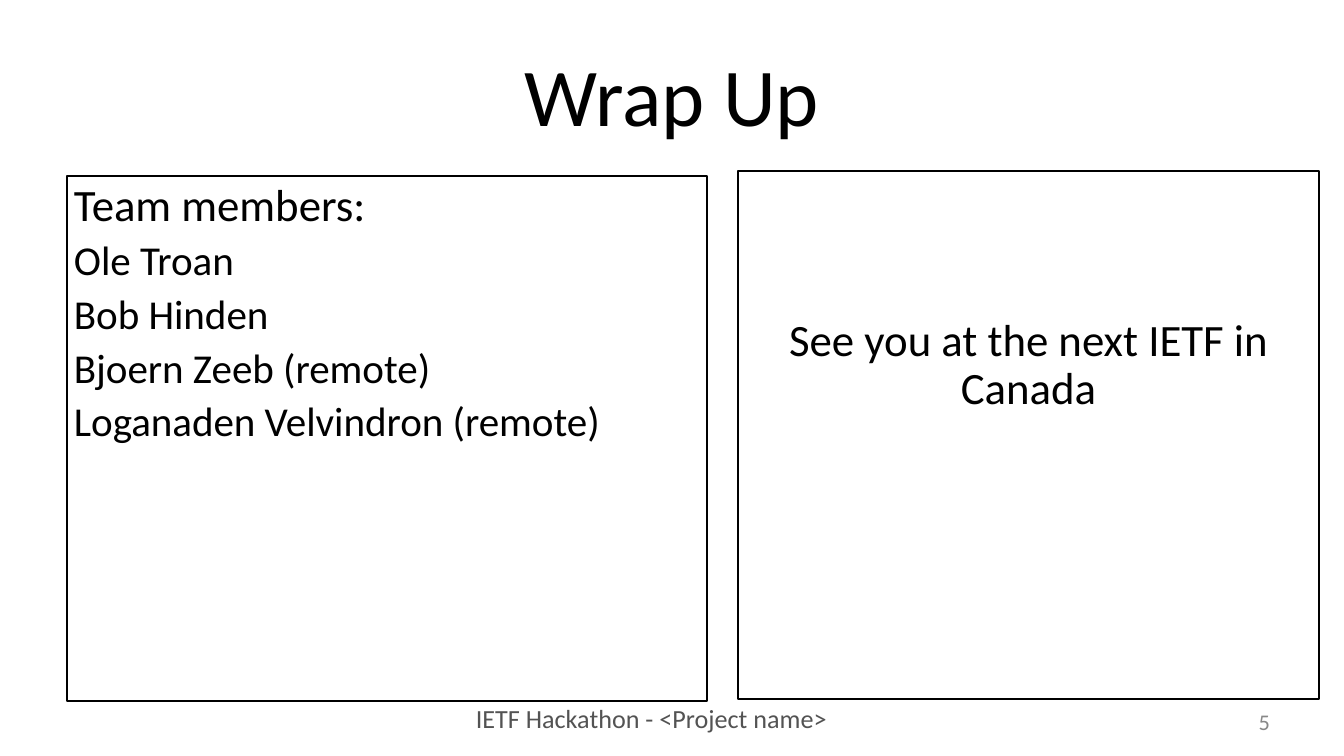
from dataclasses import dataclass

from pptx import Presentation
from pptx import util as u
from pptx.dml import color
from pptx.enum import text
from pptx.oxml import ns

PX = 4572


@dataclass(frozen=True)
class Theme:
    font: str = "Calibri"
    ink: str = "000000"
    footer_ink: str = "535353"
    number_ink: str = "888888"
    title: int = 44
    lead: int = 24
    member: int = 22
    footer: int = 14
    number: int = 12
    inset: int = 10


THEME = Theme()


@dataclass(frozen=True)
class Area:
    left: int
    top: int
    width: int
    height: int

    def emu(self) -> tuple[int, ...]:
        return tuple(side * PX for side in (self.left, self.top, self.width, self.height))


@dataclass(frozen=True)
class Line:
    words: str
    size: int
    ink: str = THEME.ink
    align: text.PP_ALIGN = text.PP_ALIGN.LEFT


def write(box, lines: list[Line], anchor=text.MSO_ANCHOR.TOP, wrap=True, top_inset=THEME.inset) -> None:
    frame = box.text_frame
    frame.auto_size = text.MSO_AUTO_SIZE.NONE
    frame.word_wrap = wrap
    frame.vertical_anchor = anchor
    frame.margin_left = frame.margin_right = frame.margin_bottom = THEME.inset * PX
    frame.margin_top = top_inset * PX
    for index, line in enumerate(lines):
        para = frame.add_paragraph() if index else frame.paragraphs[0]
        para.alignment = line.align
        span = para.add_run()
        span.text = line.words
        span.font.name = THEME.font
        span.font.size = u.Pt(line.size)
        span.font.color.rgb = color.RGBColor.from_string(line.ink)


def place(box, area: Area) -> None:
    box.left, box.top, box.width, box.height = area.emu()


def fill_panel(box, area: Area, lines: list[Line], top_inset: int = THEME.inset) -> None:
    place(box, area)
    box.line.color.rgb = color.RGBColor.from_string(THEME.ink)
    box.line.width = u.Pt(1)
    write(box, lines, top_inset=top_inset)
    for para in box.text_frame.paragraphs:
        para.line_spacing = 0.9
        para.space_before = u.Pt(5)
        props = para._p.get_or_add_pPr()
        props.set("marL", "0")
        props.set("indent", "0")
        props.append(props.makeelement(ns.qn("a:buNone"), {}))


def add_label(page, area: Area, line: Line, anchor=text.MSO_ANCHOR.TOP, wrap=True) -> None:
    write(page.shapes.add_textbox(*area.emu()), [line], anchor, wrap)


def main() -> None:
    deck = Presentation()
    deck.slide_width, deck.slide_height = 2000 * PX, 1125 * PX
    page = deck.slides.add_slide(deck.slide_layouts[3])
    title, team, farewell = page.placeholders

    place(title, Area(100, 45, 1800, 188))
    write(title, [Line("Wrap Up", THEME.title, align=text.PP_ALIGN.CENTER)], text.MSO_ANCHOR.MIDDLE)

    members = ["Ole Troan", "Bob Hinden", "Bjoern Zeeb (remote)", "Loganaden Velvindron (remote)"]
    fill_panel(
        team,
        Area(100, 262, 952, 781),
        [Line("Team members:", THEME.lead)] + [Line(name, THEME.member) for name in members],
    )
    fill_panel(
        farewell,
        Area(1098, 254, 865, 786),
        [Line("See you at the next IETF in Canada", THEME.lead, align=text.PP_ALIGN.CENTER)],
        top_inset=219,
    )

    add_label(
        page,
        Area(698, 1035, 542, 66),
        Line("IETF Hackathon - <Project name>", THEME.footer, THEME.footer_ink),
        wrap=False,
    )
    add_label(
        page,
        Area(1860, 1044, 40, 58),
        Line("5", THEME.number, THEME.number_ink, text.PP_ALIGN.RIGHT),
        text.MSO_ANCHOR.MIDDLE,
    )
    deck.save("out.pptx")


if __name__ == "__main__":
    main()
